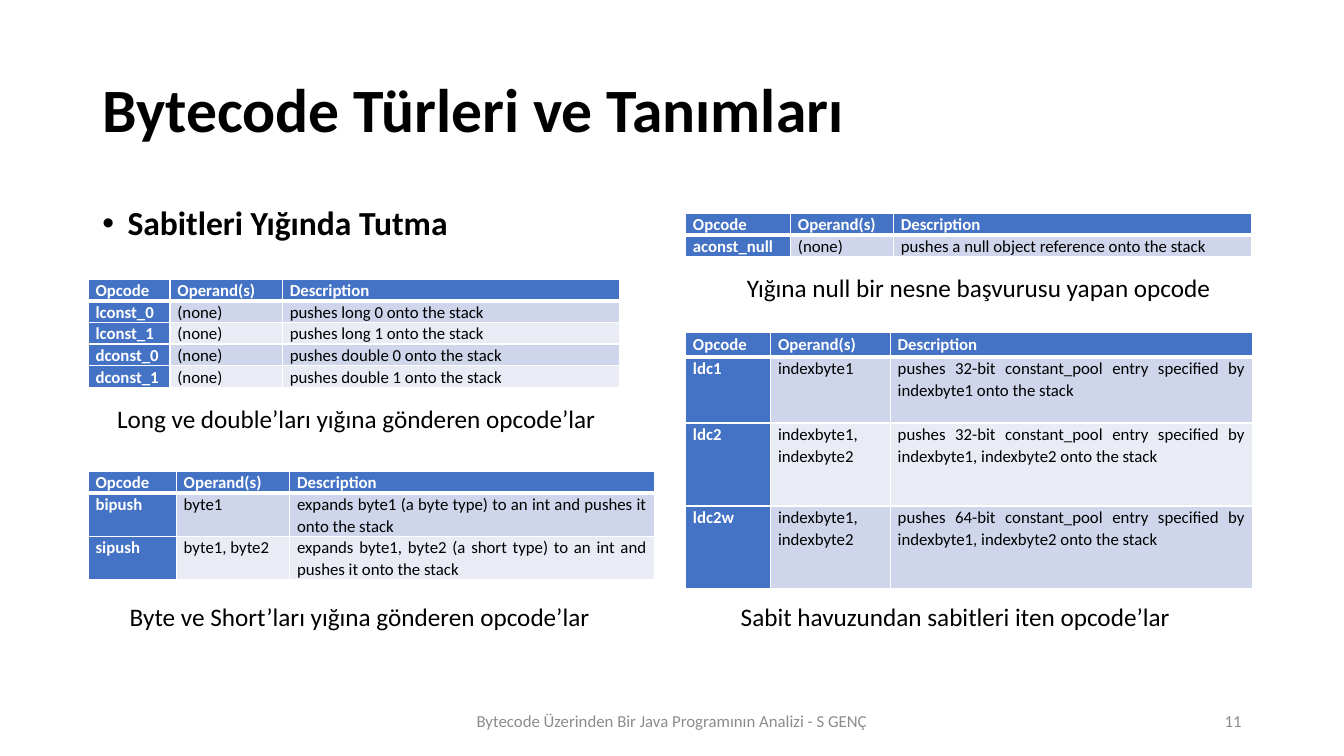
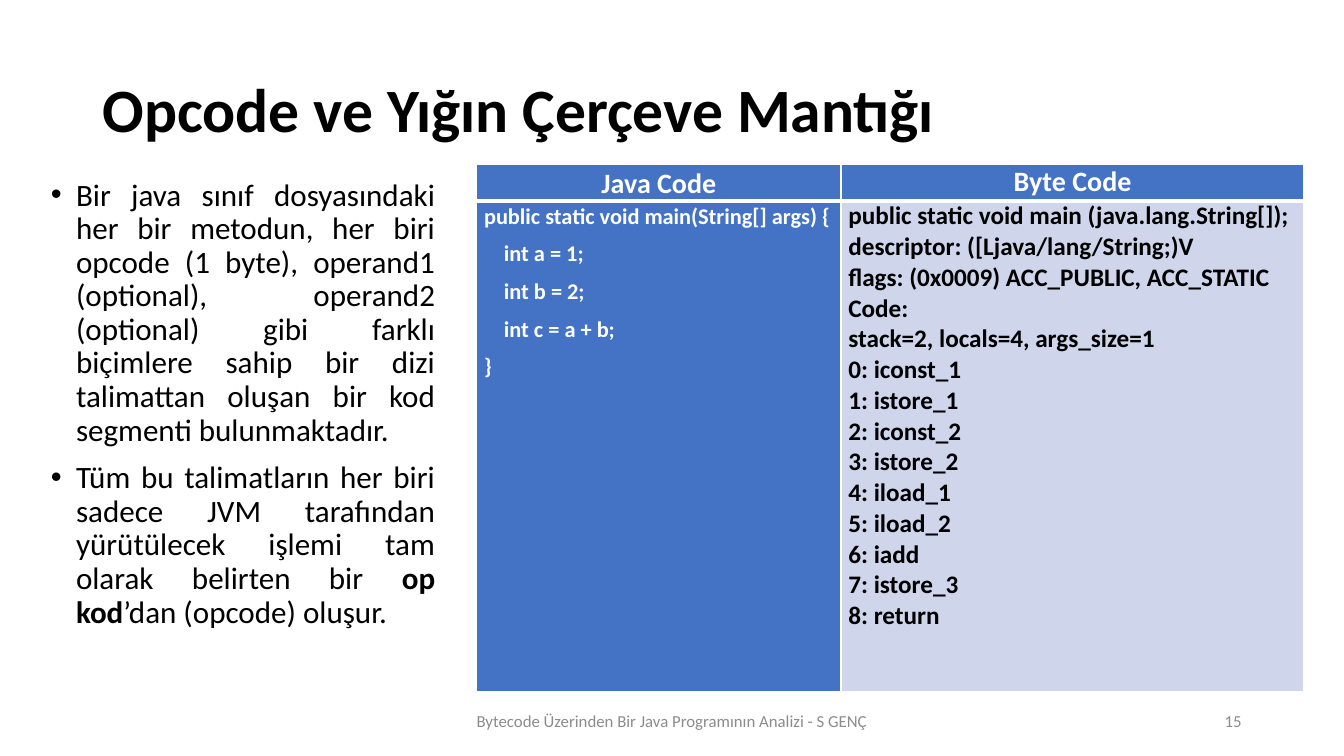
"""Build two slides on Java bytecode opcodes and stack frames."""
from lxml import etree
from pptx import Presentation
from pptx import util as u
from pptx.dml.color import RGBColor
from pptx.enum import text
from pptx.oxml import ns

PX = 9525
FONT = "Calibri"
BLACK, WHITE, GREY = "000000", "FFFFFF", "8C8C8C"
BLUE, BANDS = "4472C4", ("CFD5EA", "E9EBF5")
LEFT, CENTER = text.PP_ALIGN.LEFT, text.PP_ALIGN.CENTER
RIGHT, JUSTIFY = text.PP_ALIGN.RIGHT, text.PP_ALIGN.JUSTIFY
MIDDLE, TOP = text.MSO_ANCHOR.MIDDLE, text.MSO_ANCHOR.TOP


def write(tf, lines, size, color=BLACK, bold=False, align=LEFT, spacing=1.0,
          after=0, bullet=False, anchor=TOP):
    """Fill a text frame with one style; **marks** set words in bold."""
    tf.word_wrap = True
    tf.vertical_anchor = anchor
    for n, line in enumerate(lines):
        p = tf.paragraphs[0] if n == 0 else tf.add_paragraph()
        p.alignment, p.line_spacing = align, spacing
        p.space_before, p.space_after = u.Pt(10 if bullet else 0), u.Pt(after)
        if bullet:
            pPr = p._p.get_or_add_pPr()
            pPr.set("marL", str(24 * PX))
            pPr.set("indent", str(-24 * PX))
            etree.SubElement(pPr, ns.qn("a:buFont")).set("typeface", "Arial")
            etree.SubElement(pPr, ns.qn("a:buChar")).set("char", "•")
        for i, part in enumerate(line.split("**")):
            r = p.add_run()
            r.text = part
            r.font.name, r.font.size = FONT, u.Pt(size)
            r.font.bold = bold or i % 2 == 1
            r.font.color.rgb = RGBColor.from_string(color)


def add_table(s, x, y, widths, heights):
    """Add a table with a blue header and first column, banded rows and white borders."""
    table = s.shapes.add_table(len(heights), len(widths), x * PX, y * PX,
                               sum(widths) * PX, sum(heights) * PX).table
    for column, width in zip(table.columns, widths):
        column.width = width * PX
    for row, height in zip(table.rows, heights):
        row.height = height * PX
    for i, row in enumerate(table.rows):
        for j, cell in enumerate(row.cells):
            cell.margin_left = cell.margin_right = 7 * PX
            cell.margin_top = cell.margin_bottom = 0
            tcPr = cell._tc.get_or_add_tcPr()
            for side in "LRTB":
                thick = (side == "B" and i == 0) or (side == "T" and i == 1)
                ln = etree.SubElement(tcPr, ns.qn("a:ln" + side))
                ln.set("w", str(u.Pt(3 if thick else 1)))
                fill = etree.SubElement(ln, ns.qn("a:solidFill"))
                etree.SubElement(fill, ns.qn("a:srgbClr")).set("val", WHITE)
            color = BLUE if i == 0 or j == 0 else BANDS[(i - 1) % 2]
            cell.fill.solid()
            cell.fill.fore_color.rgb = RGBColor.from_string(color)
    return table


prs = Presentation()
prs.slide_width, prs.slide_height = 1280 * PX, 720 * PX

slides = []
for title, number in (("Bytecode Türleri ve Tanımları", "11"),
                      ("Opcode ve Yığın Çerçeve Mantığı", "15")):
    s = prs.slides.add_slide(prs.slide_layouts[5])
    sp = s.shapes.title
    sp.left, sp.top, sp.width, sp.height = 88 * PX, 38 * PX, 1104 * PX, 139 * PX
    write(sp.text_frame, [title], 44, bold=True, spacing=0.9, anchor=MIDDLE)
    sp.text_frame.auto_size = text.MSO_AUTO_SIZE.NONE
    for x, width, line, align in (
            (424, 432, "Bytecode Üzerinden Bir Java Programının Analizi - S GENÇ", CENTER),
            (904, 288, number, RIGHT)):
        sp = s.shapes.add_textbox(x * PX, 667 * PX, width * PX, 38 * PX)
        write(sp.text_frame, [line], 12, GREY, align=align, anchor=MIDDLE)
    slides.append(s)

opcodes, frames = slides

sp = opcodes.shapes.add_textbox(88 * PX, 192 * PX, 504 * PX, 457 * PX)
write(sp.text_frame, ["Sabitleri Yığında Tutma"], 24, bold=True, spacing=0.9, bullet=True)

header = ("Opcode", "Operand(s)", "Description")
opcode_tables = (
    (84, 266, (78, 107, 321), (20,) * 5, (
        ("lconst_0", "(none)", "pushes long 0 onto the stack"),
        ("lconst_1", "(none)", "pushes long 1 onto the stack"),
        ("dconst_0", "(none)", "pushes double 0 onto the stack"),
        ("dconst_1", "(none)", "pushes double 1 onto the stack"))),
    (653, 203, (100, 98, 341), (20,) * 2, (
        ("aconst_null", "(none)", "pushes a null object reference onto the stack"),)),
    (84, 449, (84, 108, 347), (20, 40, 40), (
        ("bipush", "byte1",
         "expands byte1 (a byte type) to an int and pushes it onto the stack"),
        ("sipush", "byte1, byte2",
         "expands byte1, byte2 (a short type) to an int and pushes it onto the stack"))),
    (653, 317, (81, 114, 345), (23, 63, 79, 79), (
        ("ldc1", "indexbyte1",
         "pushes 32-bit constant_pool entry specified by indexbyte1 onto the stack"),
        ("ldc2", "indexbyte1, indexbyte2",
         "pushes 32-bit constant_pool entry specified by indexbyte1, indexbyte2 onto the stack"),
        ("ldc2w", "indexbyte1, indexbyte2",
         "pushes 64-bit constant_pool entry specified by indexbyte1, indexbyte2 onto the stack"))),
)
for x, y, widths, heights, rows in opcode_tables:
    table = add_table(opcodes, x, y, widths, heights)
    for i, row in enumerate((header,) + rows):
        for j, line in enumerate(row):
            strong = i == 0 or j == 0
            write(table.cell(i, j).text_frame, [line], 12, WHITE if strong else BLACK,
                  bold=strong, align=JUSTIFY, spacing=1.07)

for x, y, width, line in (
        (102, 379, 551, "Long ve double’ları yığına gönderen opcode’lar"),
        (702, 255, 484, "Yığına null bir nesne başvurusu yapan opcode"),
        (114, 568, 551, "Byte ve Short’ları yığına gönderen opcode’lar"),
        (696, 568, 452, "Sabit havuzundan sabitleri iten opcode’lar")):
    sp = opcodes.shapes.add_textbox(x * PX, y * PX, width * PX, 38 * PX)
    write(sp.text_frame, [line], 18, align=JUSTIFY)

sp = frames.shapes.add_textbox(39 * PX, 166 * PX, 385 * PX, 483 * PX)
write(sp.text_frame, [
    "Bir java sınıf dosyasındaki her bir metodun, her biri opcode (1 byte), "
    "operand1 (optional), operand2 (optional) gibi farklı biçimlere sahip bir dizi "
    "talimattan oluşan bir kod segmenti bulunmaktadır.",
    "Tüm bu talimatların her biri sadece JVM tarafından yürütülecek işlemi tam olarak "
    "belirten bir **op kod**’dan (opcode) oluşur.",
], 22.2, align=JUSTIFY, spacing=0.9, bullet=True)

java_code = ["public static void main(String[] args) {",
             "int a = 1;", "int b = 2;", "int c = a + b;", "}"]
byte_code = ["public static void main (java.lang.String[]);",
             "descriptor: ([Ljava/lang/String;)V",
             "flags: (0x0009) ACC_PUBLIC, ACC_STATIC",
             "Code:", "stack=2, locals=4, args_size=1",
             "0: iconst_1", "1: istore_1", "2: iconst_2", "3: istore_2", "4: iload_1",
             "5: iload_2", "6: iadd", "7: istore_3", "8: return"]
table = add_table(frames, 454, 157, (347, 441), (22, 467))
write(table.cell(0, 0).text_frame, ["Java Code"], 20, WHITE, bold=True,
      align=CENTER, spacing=1.07, after=6)
write(table.cell(0, 1).text_frame, ["Byte Code"], 20, WHITE, bold=True, align=CENTER)
tf = table.cell(1, 0).text_frame
write(tf, java_code, 16, WHITE, bold=True, spacing=1.07, after=6)
for p in tf.paragraphs[1:-1]:
    p._p.get_or_add_pPr().set("marL", str(19 * PX))
write(table.cell(1, 1).text_frame, byte_code, 18, bold=True)

prs.save("out.pptx")
